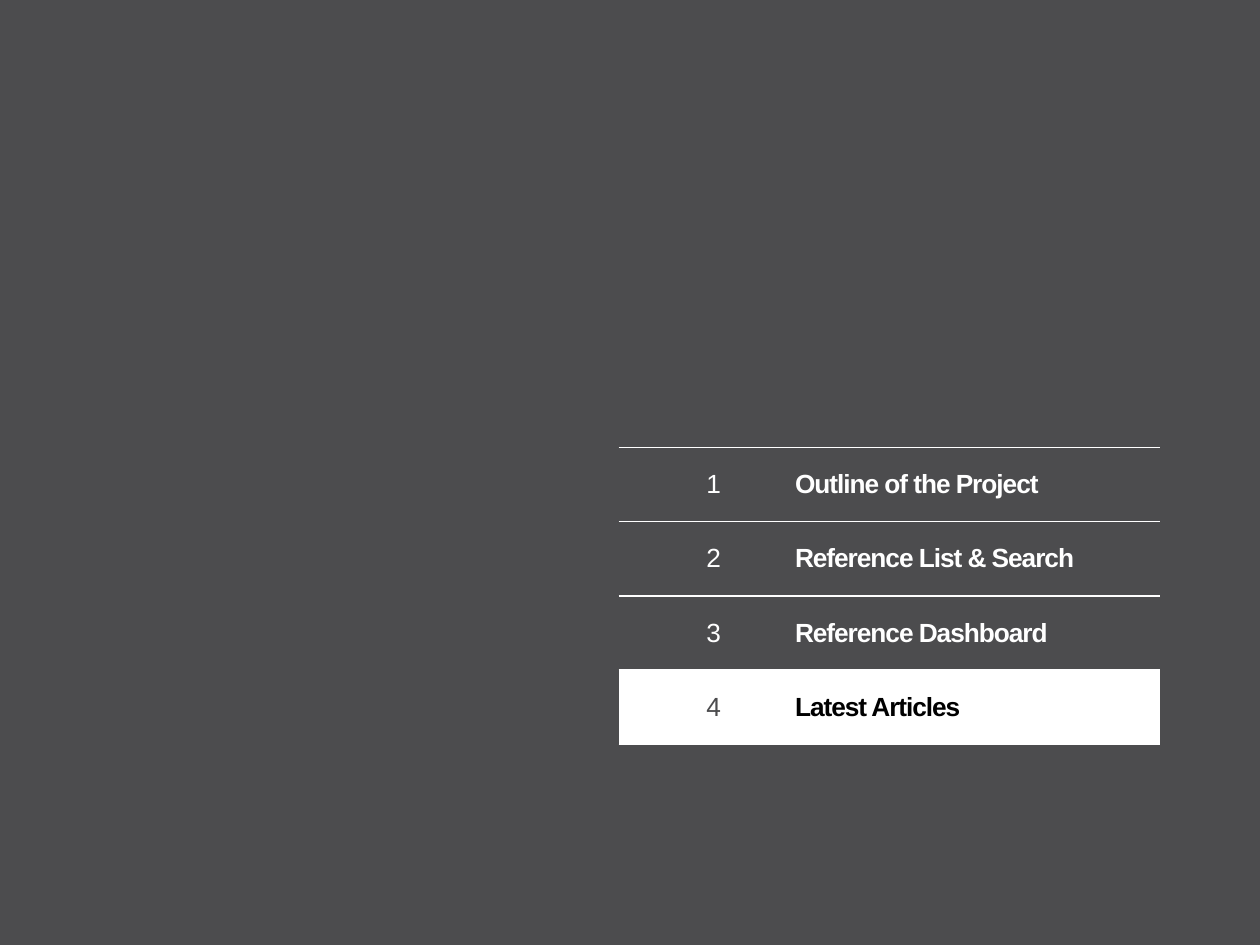
"""Build an agenda slide with the current chapter highlighted."""
from lxml.etree import SubElement
from pptx import Presentation
from pptx.dml.color import RGBColor
from pptx.enum.shapes import MSO_SHAPE as Shape
from pptx.enum.text import MSO_ANCHOR as Anchor, PP_ALIGN as Align
from pptx.oxml.ns import qn
from pptx.util import Inches, Pt

WHITE = RGBColor(0xFF, 0xFF, 0xFF)
GREY = RGBColor(0x4C, 0x4C, 0x4E)
BLACK = RGBColor(0, 0, 0)

CHAPTERS = ["Outline of the Project", "Reference List & Search",
            "Reference Dashboard", "Latest Articles"]
CURRENT = 4
COLUMN_WIDTHS = [1.3, 3]
ROW_HEIGHT = 0.59


class AgendaPage:
    font_name = "Arial"
    font_size = Pt(15)
    tracking = "-60"

    def __init__(self, page):
        self.page = page

    def backdrop(self, width, height, color):
        box = self.page.shapes.add_shape(Shape.RECTANGLE, 0, 0, width, height)
        box.shadow.inherit = False
        box.fill.solid()
        box.fill.fore_color.rgb = color
        box.line.fill.background()

    def rules(self, cell):
        properties = cell._tc.get_or_add_tcPr()
        for side in ("L", "R", "T", "B"):
            line = SubElement(properties, qn(f"a:ln{side}"), w=str(Pt(1)))
            if side in "LR":
                SubElement(line, qn("a:noFill"))
            else:
                paint = SubElement(line, qn("a:solidFill"))
                SubElement(paint, qn("a:srgbClr"), val=str(WHITE))

    def cell(self, cell, text, color, current, bold=False,
             align=Align.LEFT, margin=0.1):
        self.rules(cell)
        if current:
            cell.fill.solid()
            cell.fill.fore_color.rgb = WHITE
        else:
            cell.fill.background()
        cell.vertical_anchor = Anchor.MIDDLE
        cell.margin_left = Inches(margin)
        para = cell.text_frame.paragraphs[0]
        para.alignment = align
        span = para.add_run()
        span.text = text
        span.font.color.rgb = color
        formats = {"name": self.font_name, "size": self.font_size, "bold": bold}
        for name, value in formats.items():
            setattr(span.font, name, value)
        if bold:
            span.font._element.set("spc", self.tracking)

    def agenda(self, left, top, chapters, current):
        frame = self.page.shapes.add_table(
            len(chapters), len(COLUMN_WIDTHS), Inches(left), Inches(top),
            Inches(sum(COLUMN_WIDTHS)), Inches(ROW_HEIGHT * len(chapters)))
        table = frame.table
        table.first_row = table.horz_banding = False
        for column, width in zip(table.columns, COLUMN_WIDTHS):
            column.width = Inches(width)
        for number, (row, title) in enumerate(zip(table.rows, chapters), 1):
            row.height = Inches(ROW_HEIGHT)
            active = number == current
            number_cell, title_cell = row.cells
            self.cell(number_cell, str(number), GREY if active else WHITE,
                      active, align=Align.CENTER, margin=0.31)
            self.cell(title_cell, title, BLACK if active else WHITE,
                      active, bold=True)


def main():
    deck = Presentation()
    deck.slide_width, deck.slide_height = Inches(10), Inches(7.5)
    agenda_page = AgendaPage(deck.slides.add_slide(deck.slide_layouts[6]))
    agenda_page.backdrop(deck.slide_width, deck.slide_height, GREY)
    agenda_page.agenda(4.91, 3.55, CHAPTERS, CURRENT)
    deck.save("out.pptx")


if __name__ == "__main__":
    main()
